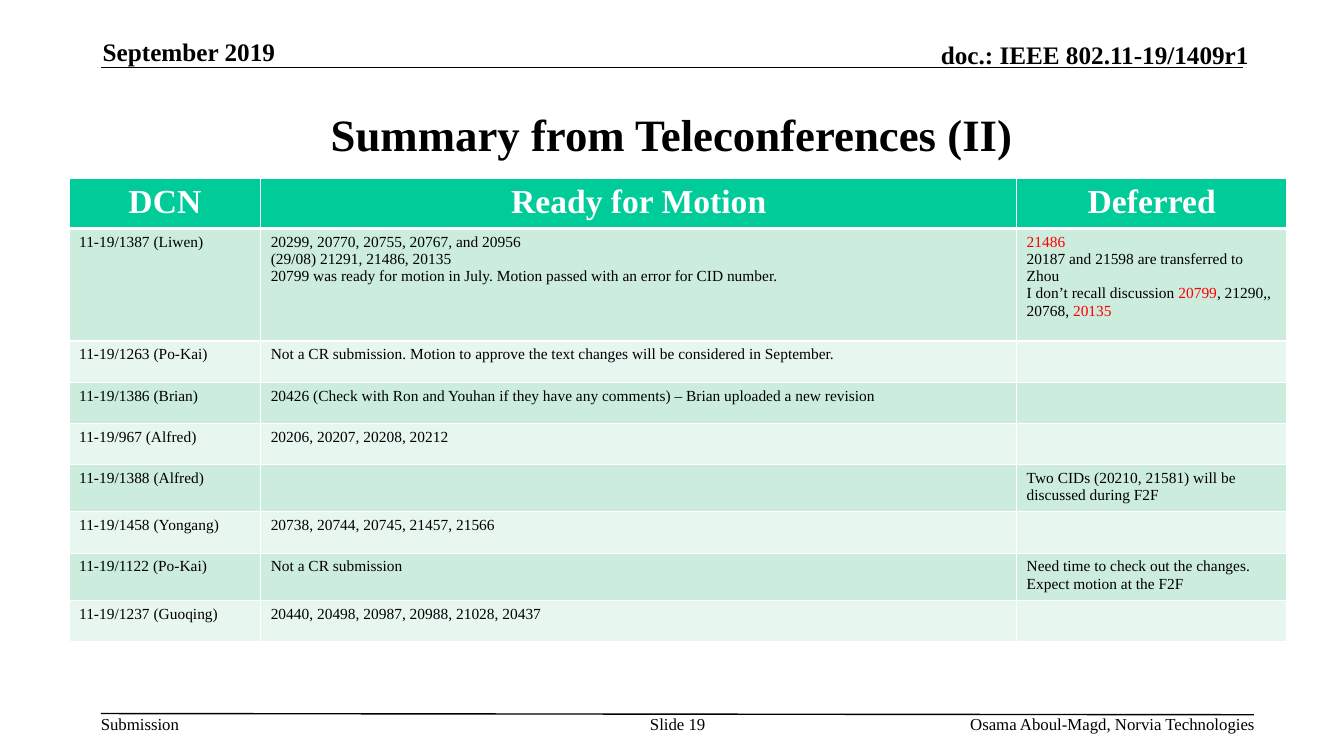
"""Build the teleconference summary slide."""
from lxml.etree import SubElement
from pptx import Presentation
from pptx.dml.color import RGBColor
from pptx.enum.shapes import MSO_CONNECTOR as Connector
from pptx.enum.text import MSO_ANCHOR as Anchor, PP_ALIGN as Align
from pptx.oxml.ns import qn
from pptx.util import Cm, Pt

COLOURS = {"ink": "000000", "paper": "FFFFFF", "header": "00CC99",
           "odd": "CCECDE", "even": "E7F6EF", "alert": "FF0000"}

HEADINGS = ["DCN", "Ready for Motion", "Deferred"]
COLUMN_WIDTHS = [4.83, 19.05, 6.81]
ROW_HEIGHTS = [1.18, 2.83, 1.04, 1.04, 1.04, 1.12, 1.04, 1.12, 1.04]
SUBMISSIONS = [
    ("11-19/1387 (Liwen)",
     ["20299, 20770, 20755, 20767, and 20956",
      "(29/08) 21291, 21486, 20135",
      "20799 was ready for motion in July. Motion passed with an error for CID number."],
     [[("21486", "alert")],
      "20187 and 21598 are transferred to Zhou",
      [("I don’t recall discussion ", "ink"), ("20799", "alert"),
       (", 21290,, 20768, ", "ink"), ("20135", "alert")]]),
    ("11-19/1263 (Po-Kai)",
     ["Not a CR submission. Motion to approve the text changes will be considered in September."], []),
    ("11-19/1386 (Brian)",
     ["20426 (Check with Ron and Youhan if they have any comments) – Brian uploaded a new revision"], []),
    ("11-19/967 (Alfred)", ["20206, 20207, 20208, 20212"], []),
    ("11-19/1388 (Alfred)", [], ["Two CIDs (20210, 21581) will be discussed during F2F"]),
    ("11-19/1458 (Yongang)", ["20738, 20744, 20745, 21457, 21566"], []),
    ("11-19/1122 (Po-Kai)", ["Not a CR submission"],
     ["Need time to check out the changes. Expect motion at the F2F"]),
    ("11-19/1237 (Guoqing)", ["20440, 20498, 20987, 20988, 21028, 20437"], []),
]


class SlideBuilder:
    """Hold the style and the current slide."""

    font_name = "Times New Roman"

    def __init__(self, page):
        self.page = page

    def colour(self, name):
        return RGBColor.from_string(COLOURS[name])

    def fill_paragraph(self, para, content, size, bold=False, colour="ink", align=Align.LEFT):
        para.alignment = align
        para.font.name = self.font_name
        para.font.size = Pt(size)
        para.font.bold = bold
        if isinstance(content, str):
            para.add_run().text = content
            para.font.color.rgb = self.colour(colour)
            return
        for words, shade in content:
            span = para.add_run()
            span.text = words
            span.font.color.rgb = self.colour(shade)

    def text(self, content, left, top, width, height, size,
             bold=False, align=Align.LEFT, anchor=Anchor.TOP):
        box = self.page.shapes.add_textbox(Cm(left), Cm(top), Cm(width), Cm(height))
        frame = box.text_frame
        frame.word_wrap = True
        frame.vertical_anchor = anchor
        frame.margin_left = frame.margin_right = frame.margin_top = frame.margin_bottom = 0
        self.fill_paragraph(frame.paragraphs[0], content, size, bold, align=align)

    def rule(self, left, top, right, bottom):
        line = self.page.shapes.add_connector(
            Connector.STRAIGHT, Cm(left), Cm(top), Cm(right), Cm(bottom))
        line.line.color.rgb = self.colour("ink")
        line.line.width = Pt(1)
        SubElement(line._element.spPr, qn("a:effectLst"))

    def style_cell(self, cell, fill, top_width, bottom_width):
        properties = cell._tc.get_or_add_tcPr()
        for side, width in (("L", 1), ("R", 1), ("T", top_width), ("B", bottom_width)):
            border = SubElement(properties, qn(f"a:ln{side}"), w=str(Pt(width)))
            paint = SubElement(border, qn("a:solidFill"))
            SubElement(paint, qn("a:srgbClr"), val=COLOURS["paper"])
        cell.fill.solid()
        cell.fill.fore_color.rgb = self.colour(fill)

    def table(self, left, top, widths, heights, headings, records):
        grid = self.page.shapes.add_table(
            len(heights), len(widths), Cm(left), Cm(top),
            Cm(sum(widths)), Cm(sum(heights))).table
        grid.horz_banding = False
        for column, width in zip(grid.columns, widths):
            column.width = Cm(width)
        for row, height in zip(grid.rows, heights):
            row.height = Cm(height)
        for cell, heading in zip(grid.rows[0].cells, headings):
            self.style_cell(cell, "header", 1, 3)
            self.fill_paragraph(cell.text_frame.paragraphs[0], heading, 24, True,
                                "paper", Align.CENTER)
        for number, (document, ready, deferred) in enumerate(records, 1):
            fill = "odd" if number % 2 else "even"
            for cell, lines in zip(grid.rows[number].cells, ([document], ready, deferred)):
                self.style_cell(cell, fill, 3 if number == 1 else 1, 1)
                frame = cell.text_frame
                for index, content in enumerate(lines):
                    para = frame.add_paragraph() if index else frame.paragraphs[0]
                    self.fill_paragraph(para, content, 11)


def main():
    deck = Presentation()
    deck.slide_width, deck.slide_height = Cm(33.87), Cm(19.05)
    slide = SlideBuilder(deck.slides.add_slide(deck.slide_layouts[6]))

    slide.rule(2.54, 1.7, 31.32, 1.7)
    slide.rule(2.54, 17.98, 31.6, 18.01)
    slide.text("September 2019", 2.59, 0.91, 6.93, 0.76, 18, True, anchor=Anchor.BOTTOM)
    slide.text("doc.: IEEE 802.11-19/1409r1", 18.52, 0.99, 12.95, 0.76, 18, True,
               Align.RIGHT, Anchor.BOTTOM)
    slide.text("Summary from Teleconferences (II)", 2.54, 1.9, 28.78, 2.95, 32, True,
               Align.CENTER, Anchor.MIDDLE)
    slide.table(1.74, 4.49, COLUMN_WIDTHS, ROW_HEIGHTS, HEADINGS, SUBMISSIONS)
    slide.text("Submission", 2.54, 17.98, 2.5, 0.51, 12)
    slide.text("Slide 19", 16.1, 17.98, 1.96, 1.02, 12, align=Align.CENTER)
    slide.text("Osama Aboul-Magd, Norvia Technologies", 19.84, 17.98, 11.79, 0.51, 12,
               align=Align.RIGHT)
    deck.save("out.pptx")


if __name__ == "__main__":
    main()
